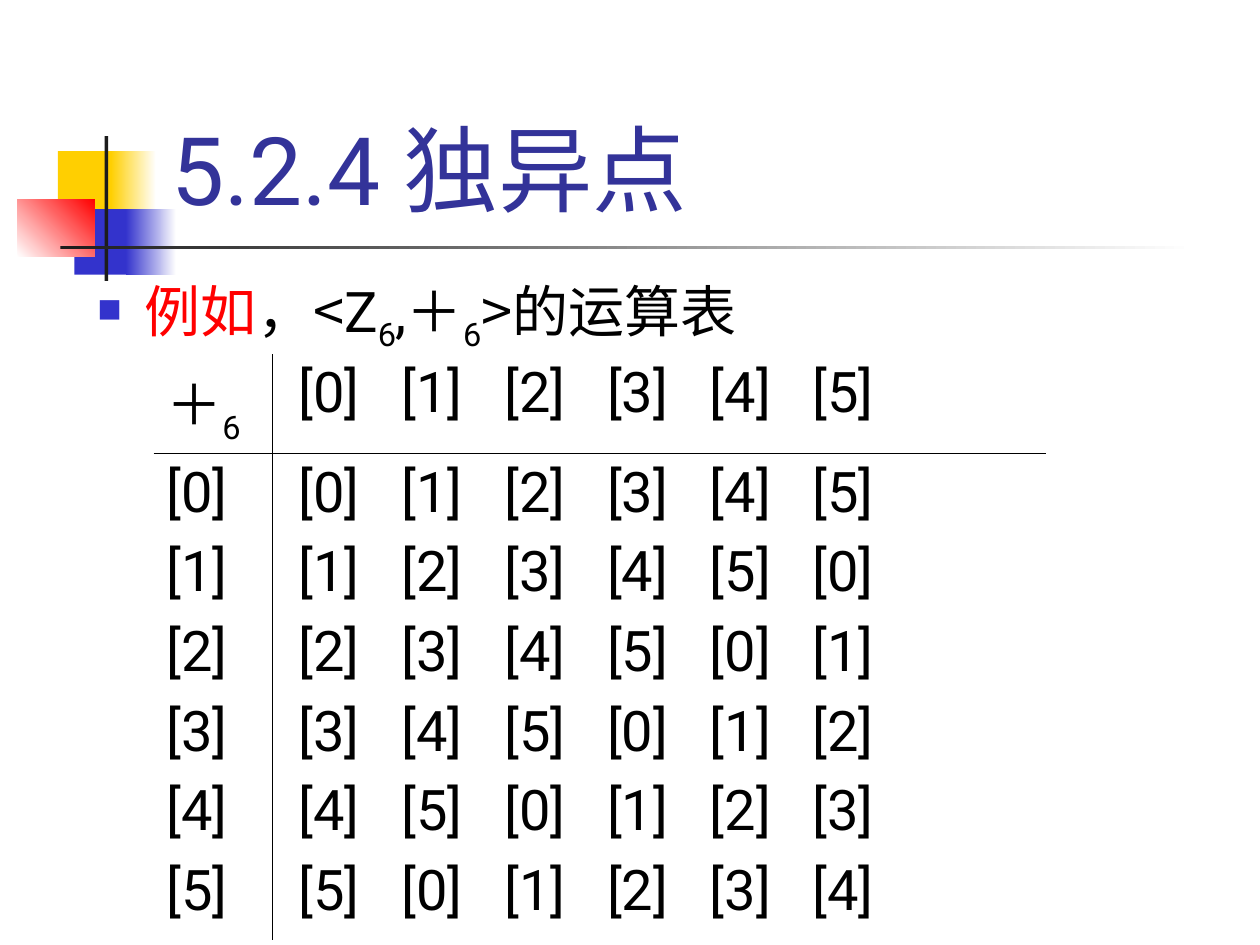
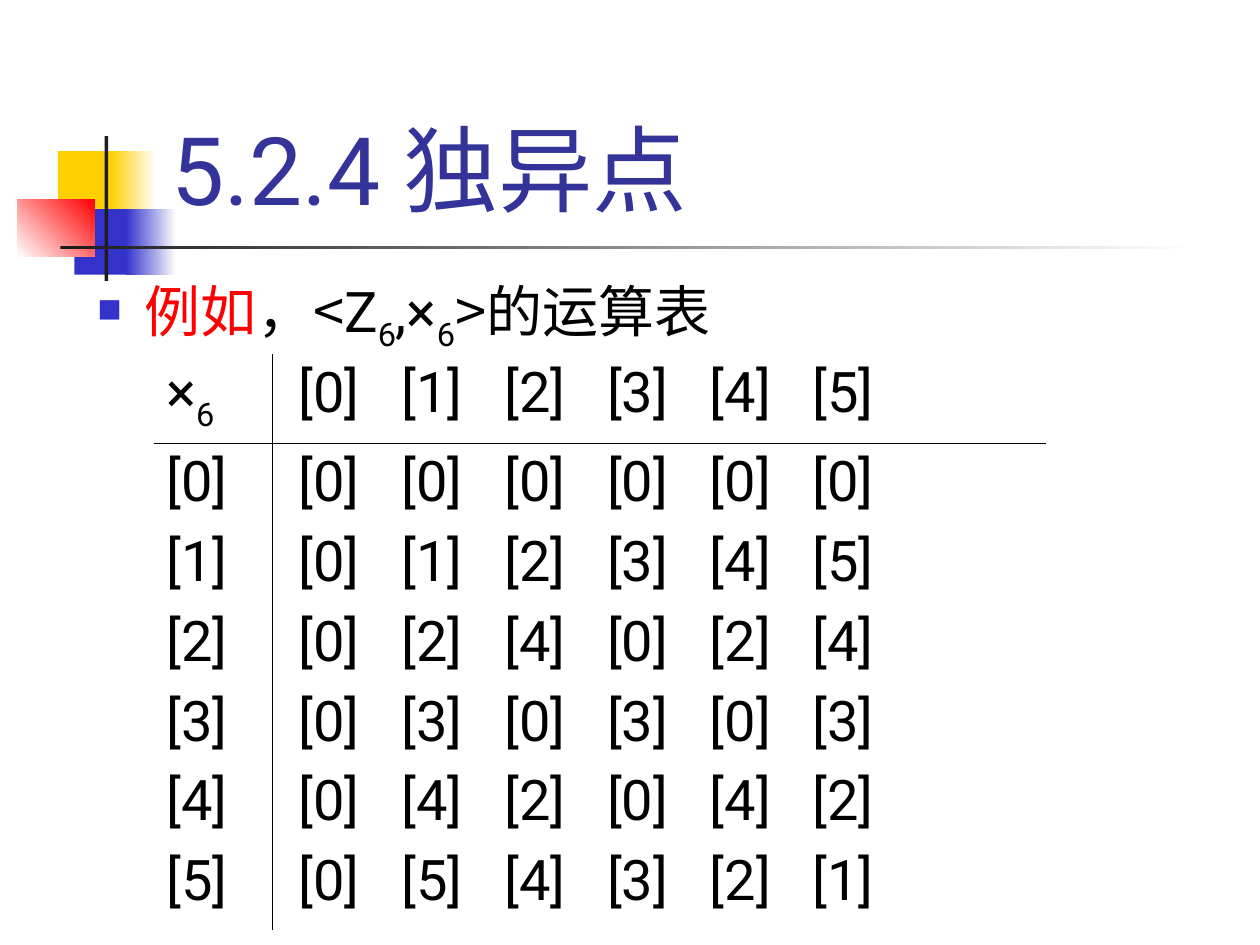
from lxml.etree import SubElement
from pptx import Presentation
from pptx.dml.color import RGBColor
from pptx.enum.shapes import MSO_SHAPE
from pptx.enum.text import MSO_ANCHOR, MSO_AUTO_SIZE, PP_ALIGN
from pptx.oxml.ns import qn
from pptx.util import Inches, Pt

LATIN, CJK = "Roboto", "Noto Sans CJK SC"
BLACK, WHITE, INK = "000000", "FFFFFF", "1C1C1C"
RED, YELLOW, BLUE, TITLE_BLUE = "FF0000", "FFCF01", "3333CC", "333399"

TITLE = "5.2.4 独异点"
MODULUS = 6
BODY_SIZE, TITLE_SIZE = 32, 54
TITLE_BOX = (1.26, 0.23, 8.52, 1.6)
BODY_BOX = (0.67, 2.02, 9.33, 5.48)
TABLE_BOX = (1.22, 2.81, 7.08, 4.57)
COLUMN_WIDTHS = (0.94, 6.14)
ROW_HEIGHTS = (0.71, 3.86)
TAB_PITCH = 4.08 / 5
PARAGRAPH = {"space_before": Pt(8), "alignment": PP_ALIGN.LEFT}

# Each part: box, then one colour or (start, end, angle) of a gradient
ORNAMENT = [
    ((0.46, 1.2, 0.48, 0.52), YELLOW),
    ((0.88, 1.2, 0.36, 0.52), (YELLOW, WHITE, 0)),
    ((0.59, 1.66, 0.46, 0.52), BLUE),
    ((1, 1.66, 0.4, 0.52), (BLUE, WHITE, 0)),
    ((0.14, 1.58, 0.61, 0.46), (WHITE, RED, 45)),
    ((0.83, 1.08, 0.03, 1.15), INK),
    ((0.48, 1.95, 9, 0.03), (INK, WHITE, 0)),
]


def color(value):
    """Turn a hex string into a colour."""
    return RGBColor.from_string(value)


def apply_format(target, values):
    """Set each attribute named in values."""
    for name, value in values.items():
        setattr(target, name, value)


def place(shape, box):
    """Move and size a shape, in inches."""
    sides = ("left", "top", "width", "height")
    apply_format(shape, {side: Inches(n) for side, n in zip(sides, box)})


def add_run(paragraph, text, size=BODY_SIZE, fill=BLACK, font=LATIN, subscript=False):
    """Add a run with its Latin and East Asian fonts."""
    run = paragraph.add_run()
    run.text = text
    apply_format(run.font, {"size": Pt(size), "name": font})
    run.font.color.rgb = color(fill)
    properties = run._r.get_or_add_rPr()
    SubElement(properties, qn("a:ea"), typeface=CJK)
    if subscript:
        properties.set("baseline", "-25000")


def add_bullet(paragraph):
    """Give a paragraph a hanging square bullet."""
    properties = paragraph._p.get_or_add_pPr()
    properties.set("marL", str(Inches(0.38)))
    properties.set("indent", str(Inches(-0.38)))
    bullet_color = SubElement(properties, qn("a:buClr"))
    SubElement(bullet_color, qn("a:srgbClr"), val=BLUE)
    SubElement(properties, qn("a:buSzPct"), val="60000")
    SubElement(properties, qn("a:buFont"), typeface="Wingdings", charset="2")
    SubElement(properties, qn("a:buChar"), char="n")


def add_tabs(paragraph):
    """Set one tab stop for each further residue column."""
    stops = SubElement(paragraph._p.get_or_add_pPr(), qn("a:tabLst"))
    for column in range(1, MODULUS):
        SubElement(stops, qn("a:tab"), pos=str(Inches(column * TAB_PITCH)), algn="l")


def add_ornament(slide, layout):
    """Draw the shared squares and bars behind the layout's placeholders."""
    parts = []
    for box, paint in ORNAMENT:
        part = slide.shapes.add_shape(MSO_SHAPE.RECTANGLE, *map(Inches, box))
        part.shadow.inherit = False
        part.line.fill.background()
        if isinstance(paint, str):
            part.fill.solid()
            part.fill.fore_color.rgb = color(paint)
        else:
            *ends, angle = paint
            part.fill.gradient()
            part.fill.gradient_angle = angle
            for position, (stop, end) in enumerate(zip(part.fill.gradient_stops, ends)):
                stop.color.rgb = color(end)
                stop.position = position
        parts.append(part._element)
    for index, element in enumerate(parts):
        layout.shapes._spTree.insert(2 + index, element)


def prepare_layout(layout):
    """Place the title and body, and drop the footer placeholders."""
    for holder in list(layout.placeholders):
        index = holder.placeholder_format.idx
        if index > 1:
            holder._element.getparent().remove(holder._element)
        else:
            place(holder, BODY_BOX if index else TITLE_BOX)


def add_title(slide):
    """Fill the title."""
    frame = slide.shapes.title.text_frame
    apply_format(frame, {"vertical_anchor": MSO_ANCHOR.BOTTOM,
                         "auto_size": MSO_AUTO_SIZE.NONE})
    heading = frame.paragraphs[0]
    heading.alignment = PP_ALIGN.LEFT
    add_run(heading, TITLE, TITLE_SIZE, TITLE_BLUE)


def add_example(slide, sign):
    """Fill the body with the line that names the operation."""
    frame = slide.placeholders[1].text_frame
    frame.auto_size = MSO_AUTO_SIZE.NONE
    example = frame.paragraphs[0]
    apply_format(example, {**PARAGRAPH, "line_spacing": 1.2})
    add_bullet(example)
    add_run(example, "例如", fill=RED)
    add_run(example, "，")
    add_run(example, "<", font=CJK)
    for symbol in ("Z", "," + sign):
        add_run(example, symbol)
        add_run(example, str(MODULUS), subscript=True)
    add_run(example, ">的运算表", font=CJK)


def set_borders(cell, ruled):
    """Rule the named sides of a cell and leave the others open."""
    properties = cell._tc.get_or_add_tcPr()
    for side in "LRTB":
        border = SubElement(properties, qn("a:ln" + side), w=str(Pt(0.45)))
        if side in ruled:
            fill = SubElement(border, qn("a:solidFill"))
            SubElement(fill, qn("a:srgbClr"), val=BLACK)
        else:
            SubElement(border, qn("a:noFill"))
    cell.fill.background()


def fill_cell(cell, rows):
    """Write each row of residues as one paragraph on tab stops."""
    for index, row in enumerate(rows):
        frame = cell.text_frame
        line = frame.add_paragraph() if index else frame.paragraphs[0]
        apply_format(line, PARAGRAPH)
        if len(row) > 1:
            add_tabs(line)
        add_run(line, "\t".join(f"[{residue}]" for residue in row))


def add_operation_table(slide, sign, operation):
    """Add the operation table of the residues."""
    table = slide.shapes.add_table(2, 2, *map(Inches, TABLE_BOX)).table
    apply_format(table, {"first_row": False, "horz_banding": False})
    for column, width in zip(table.columns, COLUMN_WIDTHS):
        column.width = Inches(width)
    for row, height in zip(table.rows, ROW_HEIGHTS):
        row.height = Inches(height)
    for row in range(2):
        for column in range(2):
            cell = table.cell(row, column)
            set_borders(cell, ("T" if row else "B") + ("L" if column else "R"))
            if column:
                cell.margin_left = Inches(0.21)

    corner = table.cell(0, 0).text_frame.paragraphs[0]
    apply_format(corner, PARAGRAPH)
    add_run(corner, sign)
    add_run(corner, str(MODULUS), subscript=True)

    residues = range(MODULUS)
    fill_cell(table.cell(0, 1), [residues])
    fill_cell(table.cell(1, 0), [[left] for left in residues])
    fill_cell(table.cell(1, 1), [[operation(left, right) % MODULUS for right in residues]
                                 for left in residues])


def main():
    """Build one slide for each operation."""
    deck = Presentation()
    apply_format(deck, {"slide_width": Inches(10), "slide_height": Inches(7.5)})
    layout = deck.slide_layouts[1]
    prepare_layout(layout)
    operations = [("＋", lambda a, b: a + b), ("×", lambda a, b: a * b)]
    for index, (sign, operation) in enumerate(operations):
        slide = deck.slides.add_slide(layout)
        if index == 0:
            add_ornament(slide, layout)
        add_title(slide)
        add_example(slide, sign)
        add_operation_table(slide, sign, operation)
    deck.save("out.pptx")


main()
